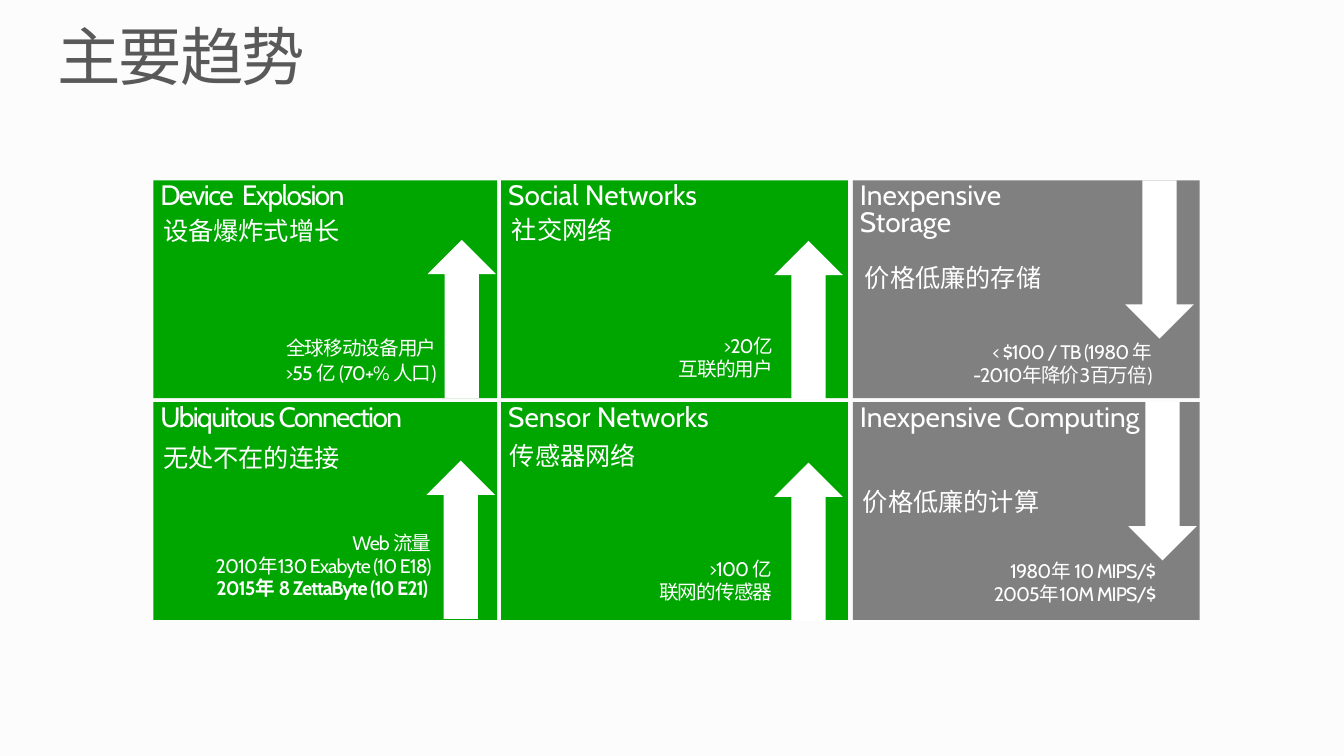
from pptx import Presentation
from pptx.dml.color import RGBColor
from pptx.enum import shapes, text
from pptx.oxml.ns import qn
from pptx.util import Inches, Pt

BACKGROUND = RGBColor(0xFC, 0xFC, 0xFC)
TITLE_GRAY = RGBColor(0x59, 0x59, 0x59)
GREEN = RGBColor(0x00, 0xA6, 0x00)
GRAY = RGBColor(0x80, 0x80, 0x80)
WHITE = RGBColor(0xFF, 0xFF, 0xFF)
LATIN, CHINESE = "Cabin", "Noto Sans CJK SC"

COLUMNS = [(1.52, 3.41, GREEN), (4.97, 3.44, GREEN), (8.46, 3.44, GRAY)]
ROW_TOP, ROW_STEP, TILE_HEIGHT = 1.79, 2.2, 2.16
ARROW_WIDTH, ARROW_HEIGHT = 0.68, 1.57
LABEL_WIDTH, LABEL_HEIGHT = 2.3, 0.4
UP, DOWN = shapes.MSO_SHAPE.UP_ARROW, shapes.MSO_SHAPE.DOWN_ARROW

TRENDS = [
    {"cell": (0, 0), "heading": "Device  Explosion", "tracking": -1.1,
     "label": ("设备爆炸式增长", 1.52, 2.09),
     "caption": ("全球移动设备用户\n>55 亿 (70+% 人口)", 2, 3.36, 2.33, 0.47),
     "spacing": 0.9, "arrow": (UP, 4.24, 2.38)},
    {"cell": (0, 1), "heading": "Social Networks", "tracking": 0,
     "label": ("社交网络", 4.98, 2.08),
     "caption": (">20亿\n互联的用户", 5.6, 3.36, 2.07, 0.42),
     "spacing": 0.8, "arrow": (UP, 7.68, 2.39)},
    {"cell": (0, 2), "heading": "Inexpensive\nStorage", "tracking": 0,
     "label": ("价格低廉的存储", 8.48, 2.55),
     "caption": ("< $100 / TB (1980 年\n-2010年降价3百万倍)", 9.43, 3.42, 2, 0.42),
     "spacing": 0.8, "arrow": (DOWN, 11.16, 1.79)},
    {"cell": (1, 0), "heading": "Ubiquitous Connection", "tracking": -1.1,
     "label": ("无处不在的连接", 1.52, 4.34),
     "caption": ("Web 流量\n2010年130 Exabyte (10 E18)\n2015年 8 ZettaByte (10 E21) ",
                 1.44, 5.31, 2.84, 0.66),
     "spacing": 0.8, "bold_line": 2, "arrow": (UP, 4.23, 4.57)},
    {"cell": (1, 1), "heading": "Sensor Networks", "tracking": 0,
     "label": ("传感器网络", 4.96, 4.32),
     "caption": (">100 亿\n 联网的传感器", 5.56, 5.57, 2.1, 0.42),
     "spacing": 0.8, "arrow": (UP, 7.68, 4.59)},
    {"cell": (1, 2), "heading": "Inexpensive Computing", "tracking": 0,
     "label": ("价格低廉的计算", 8.46, 4.78),
     "caption": ("1980年 10 MIPS/$ \n2005年10M MIPS/$ ", 9.52, 5.59, 1.98, 0.42),
     "spacing": 0.8, "arrow": (DOWN, 11.19, 3.99)},
]


def write(shape, content, size, font=LATIN, color=WHITE, tracking=0, spacing=1.0,
          before=0, align=text.PP_ALIGN.LEFT, margins=(0, 0)):
    frame = shape.text_frame
    frame.text = content
    frame.word_wrap = True
    frame.vertical_anchor = text.MSO_ANCHOR.TOP
    frame.margin_left = frame.margin_right = Inches(margins[0])
    frame.margin_top = frame.margin_bottom = Inches(margins[1])
    for paragraph in frame.paragraphs:
        paragraph.alignment = align
        paragraph.line_spacing = spacing
        paragraph.space_before = Pt(before)
        for run in paragraph.runs:
            run.font.size = Pt(size)
            run.font.name = font
            run.font.color.rgb = color
            properties = run.font._element
            properties.set("spc", str(round(tracking * 100)))
            east_asian = properties.makeelement(qn("a:ea"), {"typeface": CHINESE})
            properties.find(qn("a:latin")).addnext(east_asian)


def add_text(slide, left, top, width, height, content, size, **style):
    box = slide.shapes.add_textbox(Inches(left), Inches(top), Inches(width), Inches(height))
    write(box, content, size, **style)
    return box


def add_filled(slide, preset, left, top, width, height, color):
    shape = slide.shapes.add_shape(
        preset, Inches(left), Inches(top), Inches(width), Inches(height))
    shape.shadow.inherit = False
    shape.fill.solid()
    shape.fill.fore_color.rgb = color
    shape.line.fill.background()
    return shape


def add_trend(slide, trend):
    row, column = trend["cell"]
    left, width, color = COLUMNS[column]
    tile = add_filled(slide, shapes.MSO_SHAPE.RECTANGLE, left, ROW_TOP + row * ROW_STEP,
                      width, TILE_HEIGHT, color)
    write(tile, trend["heading"], 20, tracking=trend["tracking"], spacing=0.8,
          margins=(0.07, 0.04))

    label, left, top = trend["label"]
    add_text(slide, left, top, LABEL_WIDTH, LABEL_HEIGHT, label, 18, font=CHINESE,
             margins=(0.1, 0.05))

    content, *place = trend["caption"]
    caption = add_text(slide, *place, content, 14, tracking=-0.7, spacing=trend["spacing"],
                       before=2.8, align=text.PP_ALIGN.RIGHT)
    if "bold_line" in trend:
        caption.text_frame.paragraphs[trend["bold_line"]].runs[0].font.bold = True

    preset, left, top = trend["arrow"]
    add_filled(slide, preset, left, top, ARROW_WIDTH, ARROW_HEIGHT, WHITE)


def main():
    presentation = Presentation()
    presentation.slide_width = Inches(13.33)
    presentation.slide_height = Inches(7.5)
    slide = presentation.slides.add_slide(presentation.slide_layouts[6])
    slide.background.fill.solid()
    slide.background.fill.fore_color.rgb = BACKGROUND
    add_text(slide, 0.57, 0.25, 12.2, 0.82, "主要趋势", 45.3, color=TITLE_GRAY,
             tracking=-1.4, spacing=0.9)
    for trend in TRENDS:
        add_trend(slide, trend)
    presentation.save("out.pptx")


if __name__ == "__main__":
    main()
